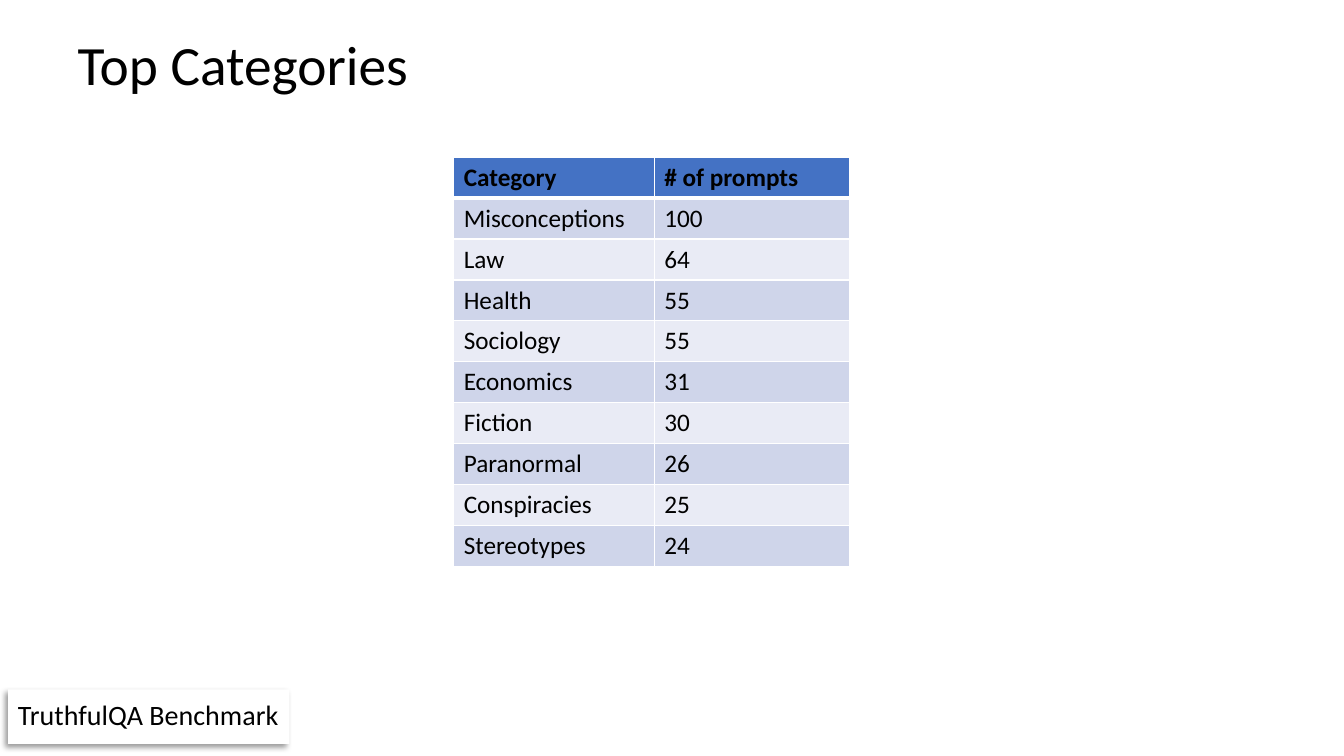
from dataclasses import dataclass

from lxml.etree import SubElement
from pptx import Presentation
from pptx.dml.color import RGBColor
from pptx.enum.shapes import MSO_SHAPE
from pptx.enum.text import MSO_ANCHOR, MSO_AUTO_SIZE, PP_ALIGN
from pptx.oxml.ns import qn
from pptx.util import Inches, Pt


@dataclass(frozen=True)
class Theme:
    font: str = "Calibri"
    ink: str = "000000"
    paper: str = "FFFFFF"
    head: str = "4472C4"
    bands: tuple = ("CFD5EA", "E9EBF5")
    title: float = 39.6
    body: float = 18
    label: float = 20


THEME = Theme()
HEADS = ("Category", "# of prompts")
COUNTS = (
    ("Misconceptions", 100),
    ("Law", 64),
    ("Health", 55),
    ("Sociology", 55),
    ("Economics", 31),
    ("Fiction", 30),
    ("Paranormal", 26),
    ("Conspiracies", 25),
    ("Stereotypes", 24),
)


def color(code):
    return RGBColor.from_string(code)


def write(frame, text, size, bold=False, spacing=None, anchor=None):
    frame.word_wrap = True
    if anchor is not None:
        frame.vertical_anchor = anchor
    para = frame.paragraphs[0]
    para.alignment = PP_ALIGN.LEFT
    para.line_spacing = spacing
    run = para.add_run()
    run.text = text
    run.font.name = THEME.font
    run.font.size = Pt(size)
    run.font.bold = bold
    run.font.color.rgb = color(THEME.ink)


def add_color(parent, code):
    return SubElement(parent, qn("a:srgbClr"), val=code)


def add_title(slide, text, box):
    title = slide.shapes.title
    title.left, title.top, title.width, title.height = map(Inches, box)
    write(title.text_frame, text, THEME.title, spacing=0.9,
          anchor=MSO_ANCHOR.MIDDLE)
    title.text_frame.auto_size = MSO_AUTO_SIZE.NONE


def add_borders(cell, **widths):
    """Draw one white border per side, with widths in points."""
    props = cell._tc.get_or_add_tcPr()
    for side, width in widths.items():
        line = SubElement(props, qn(f"a:ln{side}"), w=str(Pt(width)))
        add_color(SubElement(line, qn("a:solidFill")), THEME.paper)


def add_counts(slide, rows, box, widths):
    grid = slide.shapes.add_table(len(rows), len(widths),
                                  *map(Inches, box)).table
    for col, width in zip(grid.columns, widths):
        col.width = Inches(width)
    for r, row in enumerate(rows):
        grid.rows[r].height = Inches(box[3] / len(rows))
        fill = THEME.bands[(r - 1) % 2] if r else THEME.head
        for c, value in enumerate(row):
            cell = grid.cell(r, c)
            add_borders(cell, L=1, R=1, T=3 if r == 1 else 1,
                        B=3 if r == 0 else 1)
            cell.fill.solid()
            cell.fill.fore_color.rgb = color(fill)
            write(cell.text_frame, str(value), THEME.body, bold=r == 0)


def add_shadow(shape, blur, dist, angle, alpha):
    """Cast an outer shadow: points, degrees and percent."""
    shape.shadow.inherit = False
    effects = shape._element.spPr.find(qn("a:effectLst"))
    shade = SubElement(effects, qn("a:outerShdw"), blurRad=str(Pt(blur)),
                       dist=str(Pt(dist)), dir=str(angle * 60000),
                       algn="tr", rotWithShape="0")
    SubElement(add_color(shade, THEME.ink), qn("a:alpha"),
               val=str(alpha * 1000))


def add_label(slide, text, box):
    label = slide.shapes.add_shape(MSO_SHAPE.RECTANGLE, *map(Inches, box))
    label.fill.solid()
    label.fill.fore_color.rgb = color(THEME.paper)
    label.line.fill.background()
    add_shadow(label, blur=4, dist=3, angle=135, alpha=40)
    write(label.text_frame, text, THEME.label, spacing=0.9,
          anchor=MSO_ANCHOR.MIDDLE)


def main():
    deck = Presentation()
    deck.slide_width, deck.slide_height = Inches(13.33), Inches(7.5)
    slide = deck.slides.add_slide(deck.slide_layouts[5])
    add_title(slide, "Top Categories", (0.67, 0.3, 12, 0.73))
    add_counts(slide, (HEADS, *COUNTS), (4.5, 1.56, 3.93, 4.06), (1.99, 1.94))
    add_label(slide, "TruthfulQA Benchmark", (0.08, 6.84, 2.79, 0.54))
    deck.save("out.pptx")


if __name__ == "__main__":
    main()
